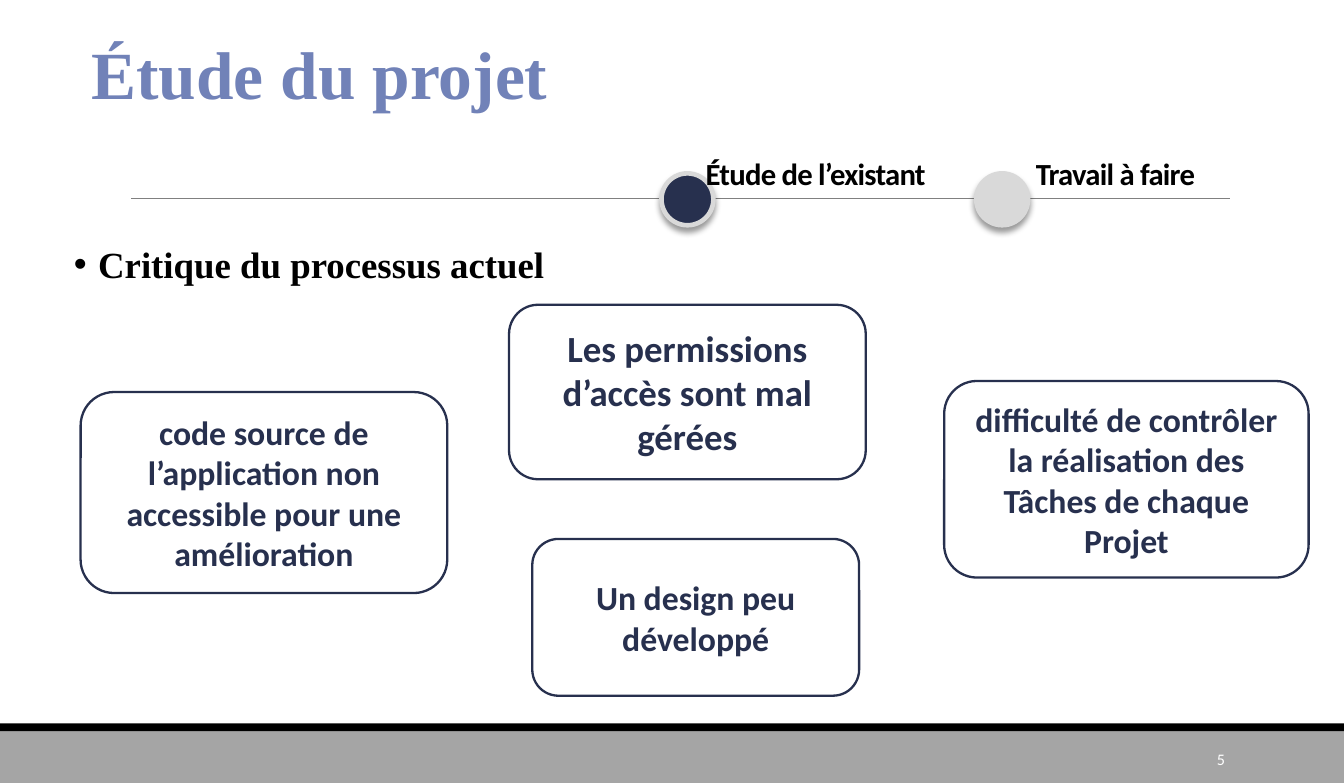
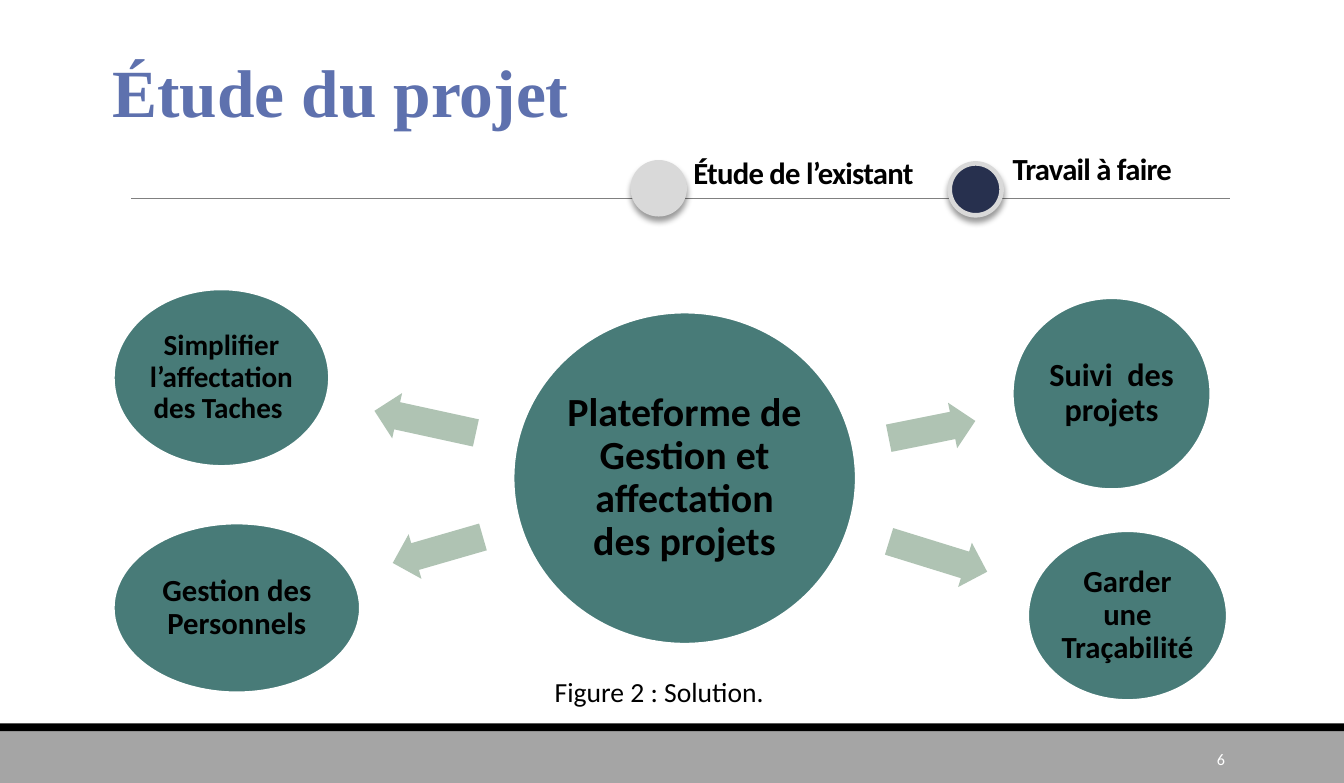
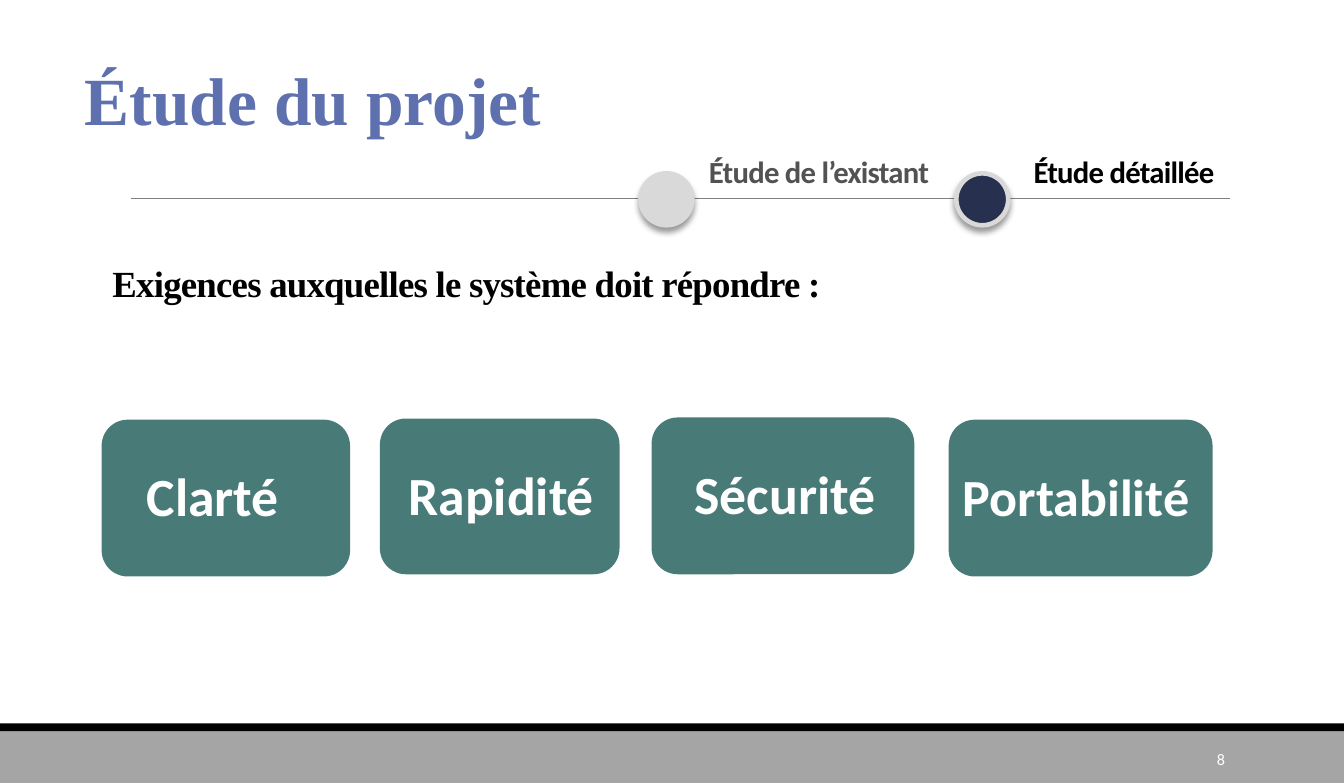
from dataclasses import dataclass

from lxml.etree import SubElement
from pptx import Presentation
from pptx.dml.color import RGBColor
from pptx.enum.shapes import MSO_CONNECTOR as Connector, MSO_SHAPE as Shape
from pptx.enum.text import MSO_ANCHOR as Anchor, PP_ALIGN as Align
from pptx.oxml import parse_xml
from pptx.oxml.ns import nsdecls, qn
from pptx.util import Inches, Pt


# Theme: every colour, font and type size
@dataclass(frozen=True)
class Theme:
    sans: str = "Calibri"
    serif: str = "Times New Roman"
    white: str = "FFFFFF"
    black: str = "000000"
    band: str = "A5A5A5"
    rule: str = "808080"
    navy: str = "27304E"
    ring: str = "D9D9D9"
    faded: str = "525252"
    title: str = "5E71AE"
    title_light: str = "7182B8"
    teal: str = "487B78"
    sage: str = "AFC3B3"
    title_size: float = 44
    card_size: float = 35
    heading_size: float = 24
    box_size: float = 22
    label_size: float = 20
    caption_size: float = 18
    page_size: float = 10.5


T = Theme()

# Grid: square cells of one inch, positions given as (column, row)
COLS, ROWS = 12.17, 7.09
CELL = Inches(1)
DOT = 0.47
LABEL_W, LABEL_H = 2.6, 0.4


def cells(*values):
    return [int(v * CELL) for v in values]


def apply(obj, values):
    for name, value in values.items():
        setattr(obj, name, value)


# Text
def write(sp, text, size, color, bold=True, font=T.sans, align=Align.LEFT,
          anchor=Anchor.MIDDLE, margins=(0.1, 0.05, 0.1, 0.05),
          leading=None, tight=False, wrap=True):
    tf = sp.text_frame
    sides = ("margin_left", "margin_top", "margin_right", "margin_bottom")
    apply(tf, {"word_wrap": wrap, "vertical_anchor": anchor,
               **dict(zip(sides, cells(*margins)))})
    p = tf.paragraphs[0]
    apply(p, {"alignment": align, "line_spacing": leading})
    r = p.add_run()
    r.text = text
    apply(r.font, {"name": font, "size": Pt(size), "bold": bold})
    r.font.color.rgb = RGBColor.from_string(color)
    if tight:
        r._r.get_or_add_rPr().set("spc", "-50")
    return p


def text_box(slide, at, text, size, color, **style):
    return write(slide.shapes.add_textbox(*cells(*at)), text, size, color, **style)


def set_bullet(p, indent):
    pPr = p._p.get_or_add_pPr()
    pPr.set("marL", str(int(indent * CELL)))
    pPr.set("indent", str(int(-indent * CELL)))
    SubElement(pPr, qn("a:buFont")).set("typeface", "Arial")
    SubElement(pPr, qn("a:buChar")).set("char", "•")


# Shapes
def block(slide, kind, at, fill, line=None, width=1.0):
    sp = slide.shapes.add_shape(kind, *cells(*at))
    sp.shadow.inherit = False
    sp.fill.solid()
    sp.fill.fore_color.rgb = RGBColor.from_string(fill)
    if line:
        sp.line.color.rgb = RGBColor.from_string(line)
        sp.line.width = Pt(width)
    else:
        sp.line.fill.background()
    return sp


def dot(slide, left, top, active):
    fill = T.navy if active else T.ring
    sp = block(slide, Shape.OVAL, (left, top, DOT, DOT), fill, T.ring, 3)
    effects = sp._element.spPr.find(qn("a:effectLst"))
    effects.append(parse_xml(
        f'<a:outerShdw {nsdecls("a")} blurRad="{Pt(4)}" dist="{Pt(3)}" '
        'dir="5400000" algn="t" rotWithShape="0">'
        f'<a:srgbClr val="{T.black}"><a:alpha val="40000"/></a:srgbClr>'
        '</a:outerShdw>'))


def outlined_box(slide, at, text, size=T.box_size):
    sp = block(slide, Shape.ROUNDED_RECTANGLE, at, T.white, T.navy, 1.5)
    write(sp, text, size, T.navy, align=Align.CENTER,
          margins=(0.12, 0.05, 0.12, 0.05))


def bubble(slide, at, text, size):
    sp = block(slide, Shape.OVAL, at, T.teal, T.white, 1.25)
    write(sp, text, size, T.black, align=Align.CENTER, leading=0.9,
          margins=(0.03,) * 4)


def arrow(slide, at, angle):
    sp = block(slide, Shape.RIGHT_ARROW, at, T.sage)
    sp.rotation = angle
    sp.adjustments[0], sp.adjustments[1] = 0.6, 0.5


def card(slide, at, text, inset, size=T.card_size):
    sp = block(slide, Shape.ROUNDED_RECTANGLE, at, T.teal)
    write(sp, text, size, T.white, margins=(inset, 0, 0, 0.05))


# Shared frame: bands and rule live on the layout
def build_layout(prs, layout):
    for ph in list(layout.placeholders):
        ph.element.getparent().remove(ph.element)
    slide = prs.slides.add_slide(layout)
    footer = block(slide, Shape.RECTANGLE, (0, 6.61, COLS, 0.48), T.band)
    stripe = block(slide, Shape.RECTANGLE, (0, 6.55, COLS, 0.07), T.black)
    rule = slide.shapes.add_connector(Connector.STRAIGHT,
                                      *cells(1.19, 1.8, 11.14, 1.8))
    rule.line.color.rgb = RGBColor.from_string(T.rule)
    rule.line.width = Pt(0.5)
    SubElement(rule._element.spPr, qn("a:effectLst"))
    for sp in (footer, stripe, rule):
        layout.shapes.element.append(sp.element)
    return slide


def add_header(slide, page, title_at, steps, title_color=T.title):
    text_box(slide, (9.88, 6.68, 1.31, 0.38), page, T.page_size, T.white,
             bold=False, align=Align.RIGHT)
    text_box(slide, (*title_at, 4.57, 0.84), "Étude du projet", T.title_size,
             title_color, font=T.serif, anchor=Anchor.TOP)
    # Each step: dot corner, label start and middle, wording, state, colour
    for dot_at, (left, middle), label, active, color in steps:
        dot(slide, *dot_at, active)
        text_box(slide, (left, middle - LABEL_H / 2, LABEL_W, LABEL_H), label,
                 T.label_size, color, tight=True, margins=(0,) * 4)


# Slides
def critique_slide(slide):
    add_header(slide, "5", (0.73, 0.24), [
        ((5.99, 1.57), (6.39, 1.57), "Étude de l’existant", True, T.black),
        ((8.84, 1.57), (9.38, 1.57), "Travail à faire", False, T.black),
    ], T.title_light)
    p = text_box(slide, (0.57, 2.2, 4.65, 0.44), "Critique du processus actuel",
                 T.heading_size, T.black, font=T.serif, anchor=Anchor.BOTTOM,
                 leading=0.85)
    set_bullet(p, 0.22)
    outlined_box(slide, (0.73, 3.55, 3.32, 1.82),
                 "code source de l’application non accessible pour une amélioration")
    outlined_box(slide, (4.61, 2.76, 3.23, 1.58),
                 "Les permissions d’accès sont mal gérées", T.heading_size)
    outlined_box(slide, (4.82, 4.88, 2.96, 1.42), "Un design peu développé")
    outlined_box(slide, (8.55, 3.45, 3.3, 1.78),
                 "difficulté de contrôler la réalisation des Tâches de chaque Projet")


def solution_slide(slide):
    add_header(slide, "6", (0.92, 0.4), [
        ((5.73, 1.47), (6.28, 1.56), "Étude de l’existant", False, T.black),
        ((8.6, 1.48), (9.17, 1.52), "Travail à faire", True, T.black),
    ])
    for at, text, size in [
        ((4.65, 2.83, 3.1, 3), "Plateforme de Gestion et affectation des projets", 26),
        ((1.03, 2.62, 1.95, 1.6), "Simplifier l’affectation des Taches ", 19),
        ((9.17, 2.7, 1.79, 1.73), "Suivi  des projets", 21),
        ((1.03, 4.74, 2.23, 1.53), "Gestion des Personnels", 20),
        ((9.31, 4.81, 1.8, 1.53), "Garder une Traçabilité ", 20),
    ]:
        bubble(slide, at, text, size)
    for left, top, width, angle in [
        (3.38, 3.61, 0.94, 192.3), (8.04, 3.68, 0.8, 348.7),
        (3.54, 4.77, 0.85, 163.9), (8.03, 4.83, 0.93, 17.2),
    ]:
        arrow(slide, (left, top, width, 0.42), angle)
    text_box(slide, (4.91, 6.06, 2.12, 0.4), "Figure 2\u00a0: Solution.",
             T.caption_size, T.black, bold=False, align=Align.CENTER, wrap=False)


def requirements_slide(slide):
    add_header(slide, "8", (0.67, 0.48), [
        ((5.8, 1.57), (6.42, 1.55), "Étude de l’existant", False, T.faded),
        ((8.66, 1.57), (9.36, 1.55), "Étude détaillée", True, T.black),
    ])
    text_box(slide, (0.92, 1.64, 10.3, 1.17),
             "Exigences auxquelles le système doit répondre :", T.heading_size,
             T.black, font=T.serif, anchor=Anchor.BOTTOM, leading=0.85, tight=True)
    card(slide, (0.92, 3.8, 2.25, 1.42), "Clarté", 0.34)
    card(slide, (3.44, 3.79, 2.17, 1.41), "Rapidité", 0.19)
    card(slide, (5.9, 3.78, 2.38, 1.42), "Sécurité", 0.32)
    card(slide, (8.59, 3.8, 2.39, 1.42), "Portabilité", 0.06, 34)


def main():
    prs = Presentation()
    prs.slide_width, prs.slide_height = cells(COLS, ROWS)
    blank = prs.slide_layouts[6]
    critique_slide(build_layout(prs, blank))
    for build in (solution_slide, requirements_slide):
        build(prs.slides.add_slide(blank))
    prs.save("out.pptx")


main()
